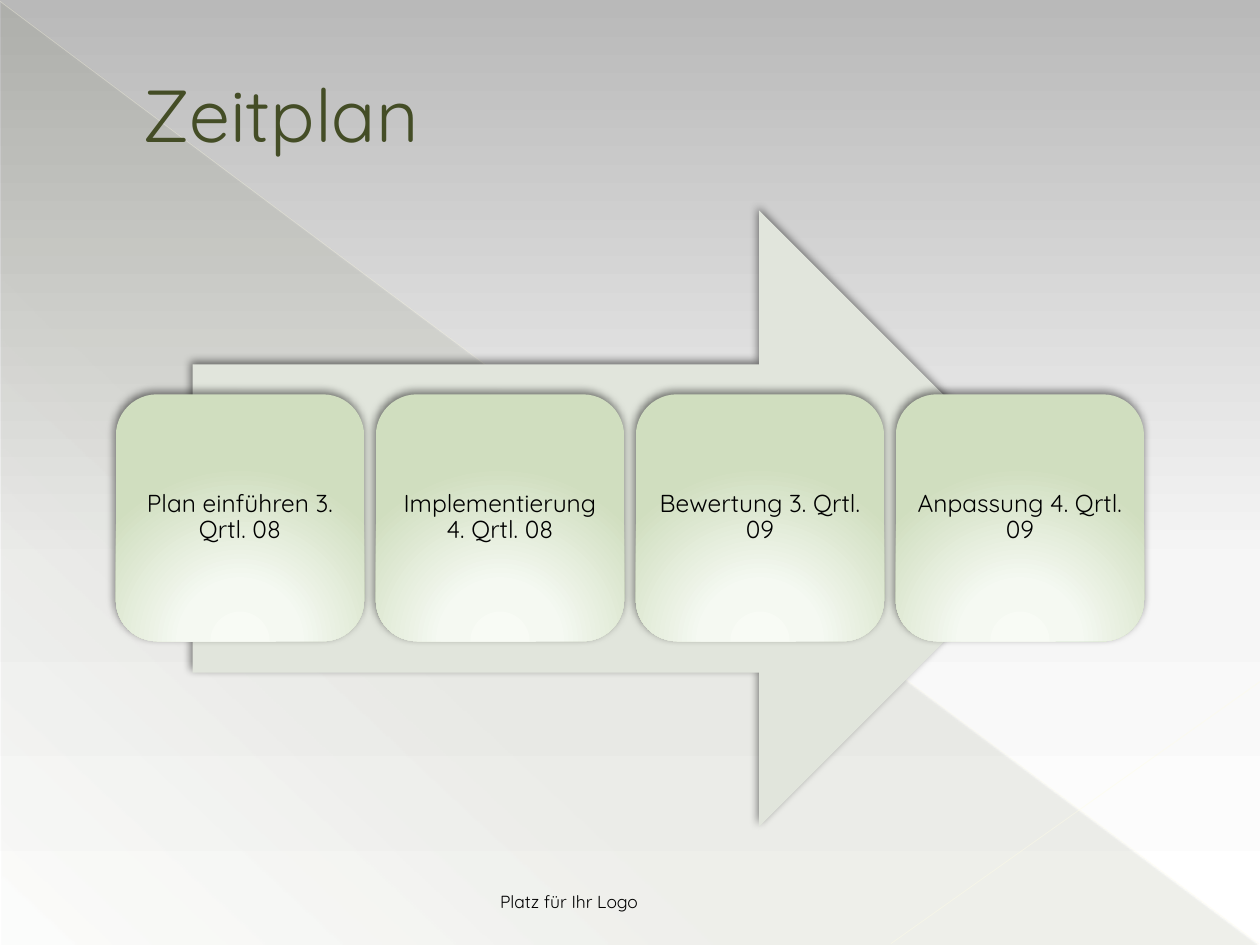
from lxml import etree
from pptx import Presentation
from pptx.dml.color import RGBColor
from pptx.enum import shapes, text
from pptx.oxml import parse_xml
from pptx.oxml.ns import nsdecls, qn
from pptx.util import Inches, Pt

FONT = "Quicksand"
OLIVE = RGBColor(0x44, 0x4D, 0x26)
BLACK = RGBColor(0, 0, 0)
ARROW = RGBColor(0xE1, 0xE5, 0xDC)
CREAM = RGBColor(0xFF, 0xFD, 0xE3)
PALE = RGBColor(0xFF, 0xFD, 0xE6)

STEPS = [
    "Plan einführen 3. Qrtl. 08",
    "Implementierung 4. Qrtl. 08",
    "Bewertung 3. Qrtl. 09",
    "Anpassung 4. Qrtl. 09",
]
BACKDROP = [(0, "B9B9B9", 100), (60, "F6F6F6", 100), (100, "FFFFFF", 100)]
VEIL = [(0, OLIVE, 10), (70, OLIVE, 8), (100, OLIVE, 1)]
GLOW = [(0, "F8FBF5", 100), (34, "F5F9F2", 100), (100, "D0DEBF", 100)]
GLOW_PATH = '<a:path path="circle"><a:fillToRect l="50000" t="155000" r="50000" b="-55000"/></a:path>'
RAYS = [
    ((0, 0.01), (9.99, 7.49), CREAM, 0.39, 35),
    ((10, 5.41), (7.07, 7.49), PALE, 0.47, 45),
]
CARD_LEFT, LAST_LEFT, CARD_TOP, CARD_W, CARD_H = 0.92, 7.11, 3.13, 1.97, 1.96


def linear(angle):
    return f'<a:lin ang="{angle * 60000}" scaled="0"/>'


def set_gradient(parent, stops, direction):
    gs = "".join(
        f'<a:gs pos="{pos * 1000}"><a:srgbClr val="{color}">'
        f'<a:alpha val="{alpha * 1000}"/></a:srgbClr></a:gs>'
        for pos, color, alpha in stops
    )
    solid = parent.find(qn("a:solidFill"))
    parent.replace(solid, parse_xml(
        f'<a:gradFill {nsdecls("a")} rotWithShape="1"><a:gsLst>{gs}</a:gsLst>{direction}</a:gradFill>'
    ))


def add_shape(kind, box, color, shadow=False):
    sp = s.shapes.add_shape(kind, *map(Inches, box))
    sp.fill.solid()
    sp.fill.fore_color.rgb = color
    sp.line.fill.background()
    sp.shadow.inherit = False
    if shadow:
        sp._element.spPr.find(qn("a:effectLst")).append(parse_xml(
            f'<a:outerShdw {nsdecls("a")} blurRad="{Pt(5)}" dist="{Pt(2)}" dir="{245 * 60000}" '
            'rotWithShape="0"><a:srgbClr val="000000"><a:alpha val="50000"/></a:srgbClr></a:outerShdw>'
        ))
    return sp


def write(sp, words, size, color, align, anchor):
    tf = sp.text_frame
    tf.word_wrap = True
    tf.vertical_anchor = anchor
    tf.text = words
    p = tf.paragraphs[0]
    p.alignment = align
    font = p.runs[0].font
    font.name, font.size, font.color.rgb = FONT, Pt(size), color
    return tf


prs = Presentation()
prs.slide_width, prs.slide_height = Inches(10), Inches(7.5)
s = prs.slides.add_slide(prs.slide_layouts[6])
s.background.fill.solid()
set_gradient(s._element.xpath(".//p:bgPr")[0], BACKDROP, linear(90))

veil = add_shape(shapes.MSO_SHAPE.RIGHT_TRIANGLE, (0.01, 0.02, 9.98, 7.48), OLIVE)
set_gradient(veil._element.spPr, VEIL, linear(133))

for start, end, color, width, opacity in RAYS:
    ray = s.shapes.add_connector(shapes.MSO_CONNECTOR.STRAIGHT, *map(Inches, start + end))
    ray.line.color.rgb = color
    ray.line.width = Pt(width)
    spPr = ray._element.spPr
    clr = spPr.find(".//" + qn("a:srgbClr"))
    etree.SubElement(clr, qn("a:alpha")).set("val", str(opacity * 1000))
    etree.SubElement(spPr, qn("a:effectLst"))

add_shape(shapes.MSO_SHAPE.RIGHT_ARROW, (1.53, 1.67, 6.94, 4.89), ARROW, shadow=True)

pitch = (LAST_LEFT - CARD_LEFT) / (len(STEPS) - 1)
for i, step in enumerate(STEPS):
    box = (CARD_LEFT + i * pitch, CARD_TOP, CARD_W, CARD_H)
    card = add_shape(shapes.MSO_SHAPE.ROUNDED_RECTANGLE, box, ARROW, shadow=True)
    set_gradient(card._element.spPr, GLOW, GLOW_PATH)
    tf = write(card, step, 14, BLACK, text.PP_ALIGN.CENTER, text.MSO_ANCHOR.MIDDLE)
    tf.margin_left = tf.margin_right = tf.margin_top = tf.margin_bottom = Inches(0.06)
    tf.paragraphs[0].line_spacing = 0.9

title = s.shapes.add_textbox(*map(Inches, (0.5, 0.29, 9, 1.21)))
tf = write(title, "Zeitplan", 42, OLIVE, text.PP_ALIGN.LEFT, text.MSO_ANCHOR.MIDDLE)
tf.margin_left = Inches(0.63)

footer = s.shapes.add_textbox(*map(Inches, (0.5, 6.96, 4.66, 0.33)))
write(footer, "Platz für Ihr Logo", 10, BLACK, text.PP_ALIGN.RIGHT, text.MSO_ANCHOR.BOTTOM)

prs.save("out.pptx")
